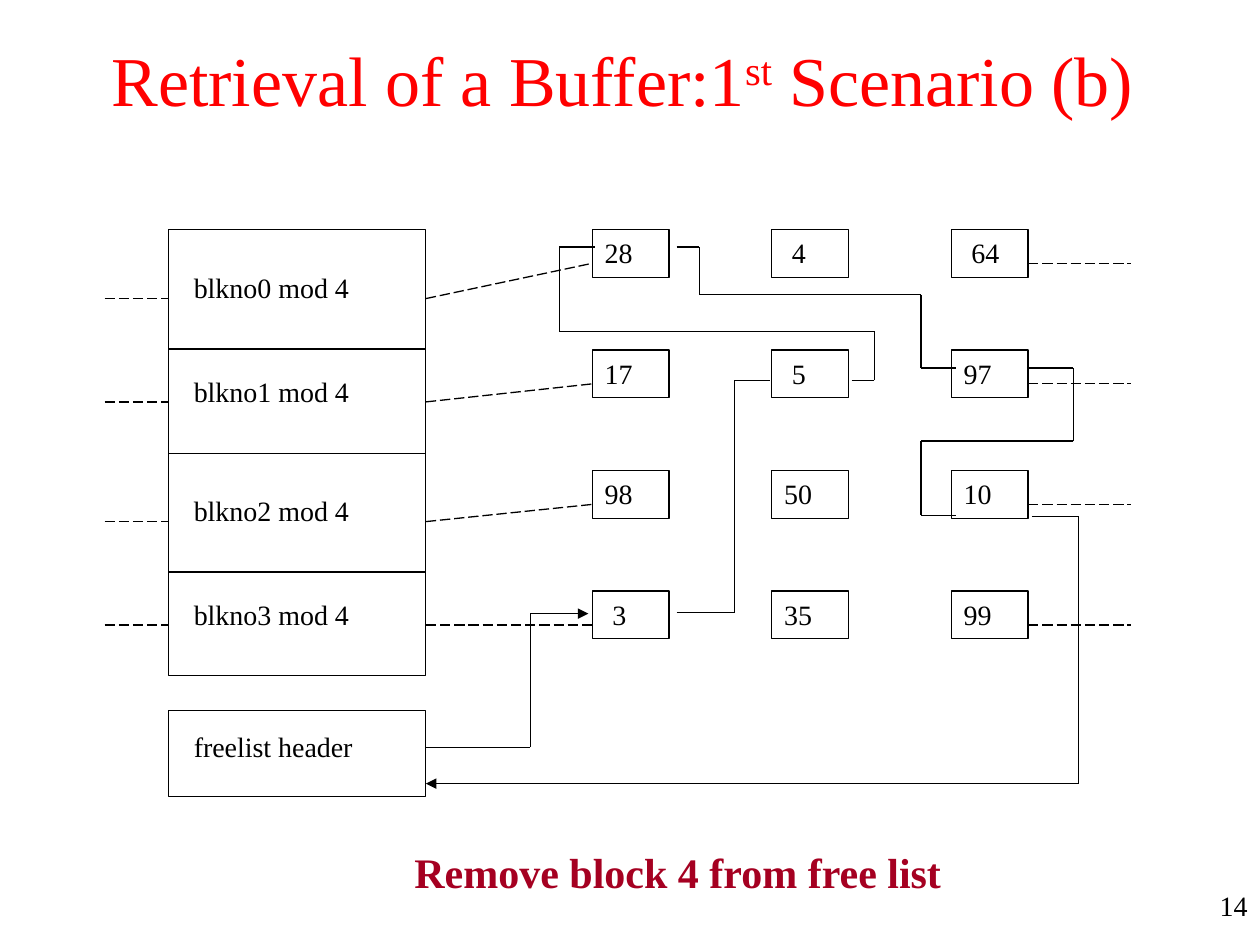
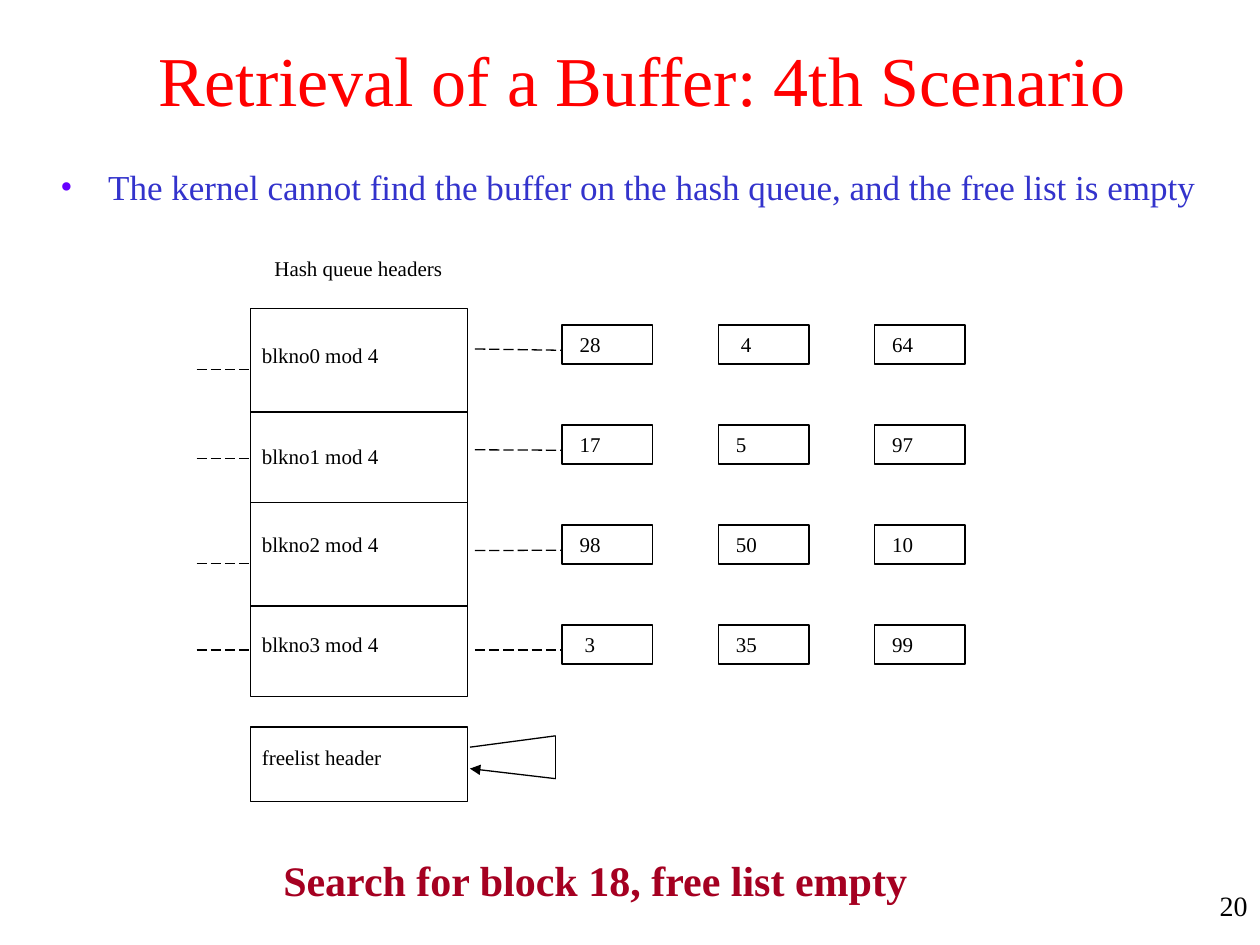
"""Build two slides on buffer retrieval: hash queues and the free list."""
from dataclasses import dataclass
from typing import NamedTuple

from lxml.etree import SubElement
from pptx import Presentation
from pptx.dml.color import RGBColor
from pptx.enum.dml import MSO_LINE_DASH_STYLE as Dash
from pptx.enum.shapes import MSO_CONNECTOR as Connector, MSO_SHAPE as Shape
from pptx.enum.text import MSO_ANCHOR as Anchor, PP_ALIGN as Align
from pptx.oxml.ns import qn
from pptx.util import Inches, Pt


@dataclass(frozen=True)
class Theme:
    font: str = "Times New Roman"
    ink: str = "000000"
    title: str = "FF0000"
    body: str = "3333CC"
    bullet: str = "6600FF"
    caption: str = "A50021"
    title_size: int = 40
    caption_size: int = 24
    body_size: int = 20
    number_size: int = 16
    line_width: float = 0.75


class Box(NamedTuple):
    left: float
    top: float
    width: float
    height: float

    @property
    def right(self) -> float:
        return self.left + self.width

    def lengths(self) -> list:
        return [Inches(value) for value in self]


class Chain(NamedTuple):
    points: list
    arrow: bool = False


@dataclass(frozen=True)
class HashDiagram:
    headers: Box
    dividers: tuple
    header_labels: tuple
    label_left: float
    freelist: Box
    freelist_label: float
    first_buffer: Box
    last_buffer: tuple
    indents: dict
    default_indent: float
    text_size: int
    stub_left: float
    stub_levels: tuple
    queue_start: float
    queue_levels: tuple
    queue_drop: float
    queue_end: float
    free_links: list


THEME = Theme()
INSET = 0.1
BLOCKS = (("28", "4", "64"), ("17", "5", "97"), ("98", "50", "10"), ("3", "35", "99"))

FIRST_SCENARIO = HashDiagram(
    headers=Box(1.34, 1.82, 2.04, 3.54),
    dividers=(2.77, 3.6, 4.54),
    header_labels=(2.1, 2.92, 3.87, 4.69),
    label_left=1.44,
    freelist=Box(1.34, 5.64, 2.04, 0.68),
    freelist_label=5.74,
    first_buffer=Box(4.7, 1.82, 0.61, 0.38),
    last_buffer=(7.55, 4.69),
    indents=dict.fromkeys(("4", "64", "5", "3"), 0.06),
    default_indent=0,
    text_size=16,
    stub_left=0.83,
    stub_levels=(2.37, 3.19, 4.14, 4.96),
    queue_start=3.38,
    queue_levels=(2.37, 3.19, 4.14, 4.96),
    queue_drop=0.27,
    queue_end=8.98,
    free_links=[
        Chain([(3.38, 5.93), (4.21, 5.93), (4.21, 4.87), (4.67, 4.87)], arrow=True),
        Chain([(5.37, 4.86), (5.83, 4.86), (5.83, 3.02), (6.11, 3.02)]),
        Chain([(6.76, 3.02), (6.94, 3.02), (6.94, 2.63), (4.44, 2.63), (4.44, 1.96), (4.72, 1.96)]),
        Chain([(5.37, 1.96), (5.55, 1.96), (5.55, 2.34), (7.31, 2.34), (7.31, 2.92), (7.59, 2.92)]),
        Chain([(8.15, 2.92), (8.52, 2.92), (8.52, 3.5), (7.31, 3.5), (7.31, 4.09), (7.59, 4.09)]),
        Chain([(8.19, 4.1), (8.56, 4.1), (8.56, 6.22), (3.38, 6.22)], arrow=True),
    ],
)

FOURTH_SCENARIO = HashDiagram(
    headers=Box(1.99, 2.45, 1.72, 3.08),
    dividers=(3.27, 3.99, 4.81),
    header_labels=(2.67, 3.47, 4.17, 4.96),
    label_left=1.98,
    freelist=Box(1.99, 5.77, 1.72, 0.59),
    freelist_label=5.86,
    first_buffer=Box(4.46, 2.58, 0.72, 0.31),
    last_buffer=(6.94, 4.96),
    indents=dict.fromkeys(("4", "3"), 0.08),
    default_indent=0.04,
    text_size=12,
    stub_left=1.56,
    stub_levels=(2.93, 3.64, 4.47, 5.16),
    queue_start=3.77,
    queue_levels=(2.77, 3.57, 4.37, 5.16),
    queue_drop=0.2,
    queue_end=0,
    free_links=[Chain([(3.73, 5.93), (4.41, 5.84), (4.41, 6.18), (3.73, 6.1)], arrow=True)],
)


def style_runs(paragraph, size: int, color: str, bold: bool = False) -> None:
    for run in paragraph.runs:
        run.font.name = THEME.font
        run.font.size = Pt(size)
        run.font.bold = bold
        run.font.color.rgb = RGBColor.from_string(color)


def add_text(slide, box: Box, text: str, size: int, color: str = THEME.ink,
             bold: bool = False, wrap: bool = True, align=Align.LEFT):
    frame = slide.shapes.add_textbox(*box.lengths()).text_frame
    frame.word_wrap = wrap
    frame.text = text
    paragraph = frame.paragraphs[0]
    paragraph.alignment = align
    style_runs(paragraph, size, color, bold)
    return frame


def add_title(slide, width: float, text: str, superscript: str = "", ending: str = "") -> None:
    frame = add_text(slide, Box(0.69, 0, width, 1.25), text, THEME.title_size, align=Align.CENTER)
    frame.vertical_anchor = Anchor.MIDDLE
    paragraph = frame.paragraphs[0]
    if superscript:
        ordinal = paragraph.add_run()
        ordinal.text = superscript
        ordinal._r.get_or_add_rPr().set("baseline", "30000")
        paragraph.add_run().text = ending
    style_runs(paragraph, THEME.title_size, THEME.title)


def add_bullet(slide, box: Box, text: str) -> None:
    frame = add_text(slide, box, text, THEME.body_size, THEME.body)
    paragraph = frame.paragraphs[0]
    properties = paragraph._p.get_or_add_pPr()
    properties.set("marL", str(Inches(0.38)))
    properties.set("indent", str(-Inches(0.38)))
    SubElement(SubElement(properties, qn("a:buClr")), qn("a:srgbClr")).set("val", THEME.bullet)
    SubElement(properties, qn("a:buFont")).set("typeface", THEME.font)
    SubElement(properties, qn("a:buChar")).set("char", "•")
    paragraph.line_spacing = 0.8


def add_rectangle(slide, box: Box):
    rectangle = slide.shapes.add_shape(Shape.RECTANGLE, *box.lengths())
    rectangle.shadow.inherit = False
    rectangle.fill.background()
    rectangle.line.color.rgb = RGBColor.from_string(THEME.ink)
    rectangle.line.width = Pt(THEME.line_width)
    return rectangle


def add_line(slide, start: tuple, end: tuple, dashed: bool = False, arrow: bool = False) -> None:
    ends = [Inches(value) for value in (*start, *end)]
    connector = slide.shapes.add_connector(Connector.STRAIGHT, *ends)
    connector.line.color.rgb = RGBColor.from_string(THEME.ink)
    connector.line.width = Pt(THEME.line_width)
    if dashed:
        connector.line.dash_style = Dash.LONG_DASH
    if arrow:
        SubElement(connector.line._get_or_add_ln(), qn("a:tailEnd")).set("type", "triangle")
    SubElement(connector._element.spPr, qn("a:effectLst"))


def add_chain(slide, chain: Chain) -> None:
    segments = list(zip(chain.points, chain.points[1:]))
    for index, (start, end) in enumerate(segments, 1):
        add_line(slide, start, end, arrow=chain.arrow and index == len(segments))


def add_buffer(slide, box: Box, block: str, diagram: HashDiagram) -> None:
    frame = add_rectangle(slide, box).text_frame
    frame.margin_left = Inches(INSET + diagram.indents.get(block, diagram.default_indent))
    frame.vertical_anchor = Anchor.TOP
    frame.word_wrap = True
    frame.text = block
    frame.paragraphs[0].alignment = Align.LEFT
    style_runs(frame.paragraphs[0], diagram.text_size, THEME.ink)


def add_headers(slide, diagram: HashDiagram) -> None:
    headers = diagram.headers
    add_rectangle(slide, headers)
    for level in diagram.dividers:
        add_line(slide, (headers.left, level), (headers.right, level))
    add_rectangle(slide, diagram.freelist)
    labels = [(f"blkno{row} mod 4", top) for row, top in enumerate(diagram.header_labels)]
    for label, top in [*labels, ("freelist header", diagram.freelist_label)]:
        add_text(slide, Box(diagram.label_left, top, 1.8, 0.35), label, diagram.text_size)


def add_queues(slide, diagram: HashDiagram) -> None:
    first = diagram.first_buffer
    last_left, last_top = diagram.last_buffer
    column_step = (last_left - first.left) / (len(BLOCKS[0]) - 1)
    row_step = (last_top - first.top) / (len(BLOCKS) - 1)
    for row, queue in enumerate(BLOCKS):
        top = first.top + row * row_step
        for column, block in enumerate(queue):
            buffer = first._replace(left=first.left + column * column_step, top=top)
            add_buffer(slide, buffer, block, diagram)
        stub, level = diagram.stub_levels[row], top + diagram.queue_drop
        add_line(slide, (diagram.stub_left, stub), (diagram.headers.left, stub), dashed=True)
        add_line(slide, (diagram.queue_start, diagram.queue_levels[row]), (first.left, level), dashed=True)
        if diagram.queue_end:
            add_line(slide, (last_left + first.width, level), (diagram.queue_end, level), dashed=True)


def add_scenario(deck, diagram: HashDiagram, number: str, caption: str, caption_box: Box):
    slide = deck.slides.add_slide(deck.slide_layouts[6])
    add_text(slide, Box(9.53, 7, 0.47, 0.5), number, THEME.number_size, align=Align.RIGHT)
    add_headers(slide, diagram)
    add_queues(slide, diagram)
    for chain in diagram.free_links:
        add_chain(slide, chain)
    add_text(slide, caption_box, caption, THEME.caption_size, THEME.caption, bold=True, wrap=False)
    return slide


def main() -> None:
    deck = Presentation()
    deck.slide_width, deck.slide_height = Inches(10), Inches(7.5)

    first = add_scenario(deck, FIRST_SCENARIO, "14", "Remove block 4 from free list",
                         Box(3.19, 6.67, 4.39, 0.5))
    add_title(first, 8.5, "Retrieval of a Buffer:1", "st", " Scenario (b)")

    fourth = add_scenario(deck, FOURTH_SCENARIO, "20", "Search for block 18, free list empty",
                          Box(2.15, 6.73, 5.17, 0.5))
    add_title(fourth, 8.81, "Retrieval of a Buffer: 4th Scenario")
    add_bullet(fourth, Box(0.38, 1.33, 9.25, 0.67),
               "The kernel cannot find the buffer on the hash queue, and the free list is empty")
    add_text(fourth, Box(2.08, 1.98, 2.5, 0.3), "Hash queue headers", FOURTH_SCENARIO.text_size)

    deck.save("out.pptx")


if __name__ == "__main__":
    main()
